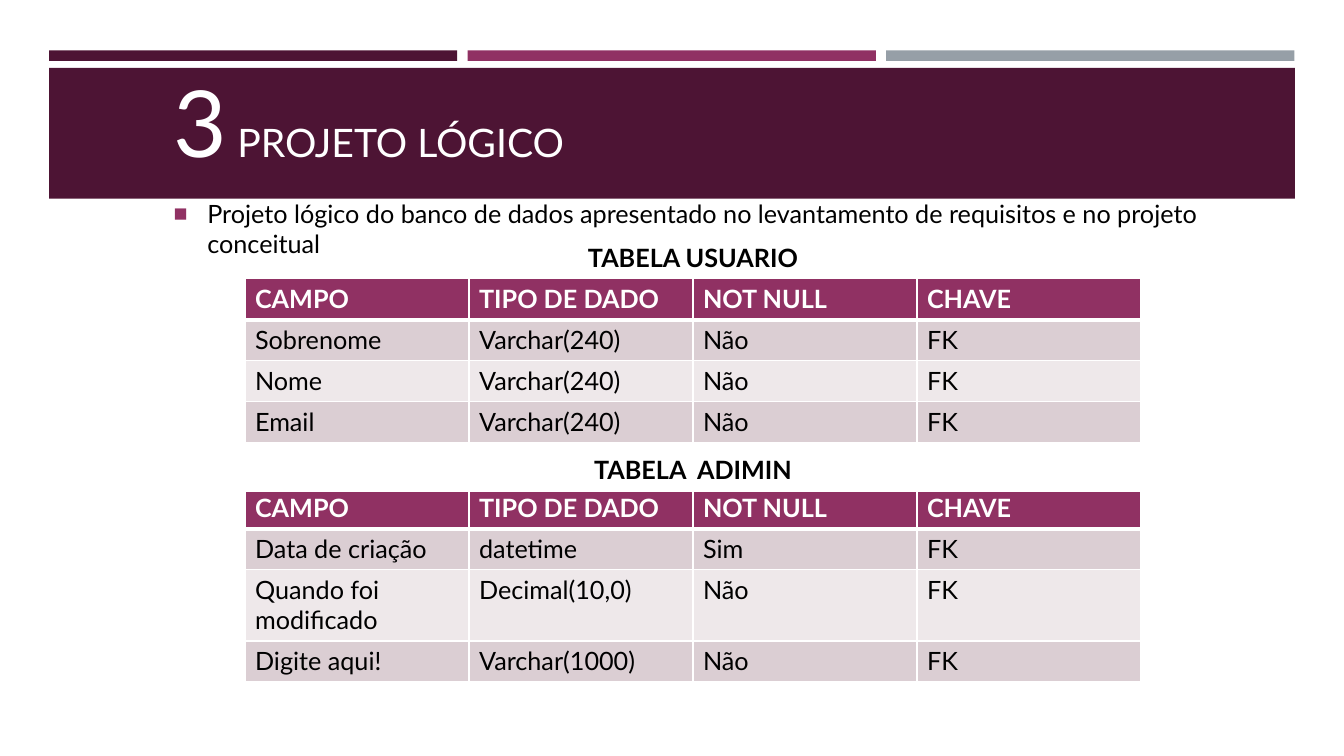
from dataclasses import dataclass

from lxml import etree
from pptx import Presentation
from pptx.dml.color import RGBColor
from pptx.enum.shapes import MSO_SHAPE
from pptx.enum.text import MSO_ANCHOR, PP_ALIGN
from pptx.oxml.ns import qn
from pptx.util import Pt

RECTANGLE = MSO_SHAPE.RECTANGLE
TOP, BOTTOM = MSO_ANCHOR.TOP, MSO_ANCHOR.BOTTOM
LEFT, CENTER = PP_ALIGN.LEFT, PP_ALIGN.CENTER


@dataclass(frozen=True)
class Theme:
    """Colours, font and type sizes of the slide."""
    font: str = "Lato"
    plum: str = "4D1434"
    berry: str = "903163"
    slate: str = "969FA7"
    odd_row: str = "DBCED3"
    even_row: str = "EEE8EA"
    white: str = "FFFFFF"
    black: str = "000000"
    number_size: int = 66
    title_size: int = 28
    body_size: int = 18


THEME = Theme()


def write_text(para, text, size=THEME.body_size, color=THEME.black, bold=False, align=LEFT):
    """Add one formatted span of text to a paragraph."""
    para.alignment = align
    span = para.add_run()
    span.text = text
    span.font.name = THEME.font
    span.font.size = Pt(size)
    span.font.bold = bold
    span.font.color.rgb = RGBColor.from_string(color)


def add_grid(page, top, column_widths, row_heights, border, first_row_rule):
    """Add a plain table with white borders and a rule below its first row; 0 means no line."""
    frame = page.shapes.add_table(
        len(row_heights), len(column_widths), Pt(TABLE_LEFT), Pt(top),
        Pt(sum(column_widths)), Pt(sum(row_heights)))
    grid = frame.table
    grid.first_row = grid.horz_banding = False
    for column, width in zip(grid.columns, column_widths):
        column.width = Pt(width)
    for row_number, (row, height) in enumerate(zip(grid.rows, row_heights)):
        row.height = Pt(height)
        for cell in row.cells:
            properties = cell._tc.get_or_add_tcPr()
            for side in "LRTB":
                on_rule = (row_number, side) in ((0, "B"), (1, "T"))
                width = first_row_rule if on_rule else border
                line = etree.SubElement(properties, qn(f"a:ln{side}"), w=str(Pt(width)))
                if width:
                    line_fill = etree.SubElement(line, qn("a:solidFill"))
                    etree.SubElement(line_fill, qn("a:srgbClr"), val=THEME.white)
                else:
                    etree.SubElement(line, qn("a:noFill"))
    return grid


deck = Presentation()
deck.slide_width, deck.slide_height = Pt(960), Pt(540)
page = deck.slides.add_slide(deck.slide_layouts[6])

# Accent bars and title band
BAR_LEFT, BAR_PITCH, BAR_WIDTH = 35, 299, 291.6
bars = [(BAR_LEFT + BAR_PITCH * index, 36, BAR_WIDTH, 7.5, color)
        for index, color in enumerate((THEME.plum, THEME.berry, THEME.slate))]
title_band = (BAR_LEFT, 48.5, 890, 93.5, THEME.plum)
for left, top, width, height, color in bars + [title_band]:
    block = page.shapes.add_shape(RECTANGLE, Pt(left), Pt(top), Pt(width), Pt(height))
    block.shadow.inherit = False
    block.fill.solid()
    block.fill.fore_color.rgb = RGBColor.from_string(color)
    block.line.fill.background()

# Title and introduction
text_paras = []
for top, width, height, anchor in ((12, 756, 117, BOTTOM), (138, 774, 52, TOP)):
    box = page.shapes.add_textbox(Pt(117), Pt(top), Pt(width), Pt(height))
    box.text_frame.word_wrap = True
    box.text_frame.vertical_anchor = anchor
    text_paras.append(box.text_frame.paragraphs[0])
title, intro = text_paras
write_text(title, "3", size=THEME.number_size, color=THEME.white)
write_text(title, " PROJETO LÓGICO", size=THEME.title_size, color=THEME.white)
write_text(intro, "Projeto lógico do banco de dados apresentado no levantamento "
                  "de requisitos e no projeto conceitual")
bullet = intro._p.get_or_add_pPr()
bullet.set("marL", str(Pt(24)))
bullet.set("indent", str(-Pt(24)))
bullet_color = etree.SubElement(bullet, qn("a:buClr"))
etree.SubElement(bullet_color, qn("a:srgbClr"), val=THEME.berry)
etree.SubElement(bullet, qn("a:buSzPct"), val="92000")
etree.SubElement(bullet, qn("a:buFont"), typeface="Arial")
etree.SubElement(bullet, qn("a:buChar"), char="■")

# Tables with their captions
TABLE_LEFT, COLUMN_WIDTH, ROW_HEIGHT, TALL_ROW = 175, 160, 29.2, 50.8
HEADER = ("CAMPO", "TIPO DE DADO", "NOT NULL", "CHAVE")
user_fields = [(field, "Varchar(240)", "Não", "FK")
               for field in ("Sobrenome", "Nome", "Email")]
admin_fields = [
    ("Data de criação", "datetime", "Sim", "FK"),
    ("Quando foi modificado", "Decimal(10,0)", "Não", "FK"),
    ("Digite aqui!", "Varchar(1000)", "Não", "FK"),
]
sections = (
    ("TABELA USUARIO", 170, 0, 199.2, user_fields, ROW_HEIGHT),
    ("TABELA  ADIMIN", 321, 3, 348.6, admin_fields, TALL_ROW),
)
for caption, caption_top, caption_rule, top, fields, third_height in sections:
    heights = (ROW_HEIGHT, ROW_HEIGHT, third_height, ROW_HEIGHT)
    grid = add_grid(page, top, [COLUMN_WIDTH] * len(HEADER), heights,
                    border=1, first_row_rule=3)
    for row_number, values in enumerate([HEADER] + fields):
        is_header = row_number == 0
        row_fill = THEME.odd_row if row_number % 2 else THEME.even_row
        for column_number, value in enumerate(values):
            cell = grid.cell(row_number, column_number)
            cell.fill.solid()
            cell.fill.fore_color.rgb = RGBColor.from_string(
                THEME.berry if is_header else row_fill)
            write_text(cell.text_frame.paragraphs[0], value, bold=is_header,
                       color=THEME.white if is_header else THEME.black)
    caption_grid = add_grid(page, caption_top, [COLUMN_WIDTH * len(HEADER)], [ROW_HEIGHT],
                            border=0, first_row_rule=caption_rule)
    caption_cell = caption_grid.cell(0, 0)
    caption_cell.fill.background()
    write_text(caption_cell.text_frame.paragraphs[0], caption, bold=True, align=CENTER)

deck.save("out.pptx")
